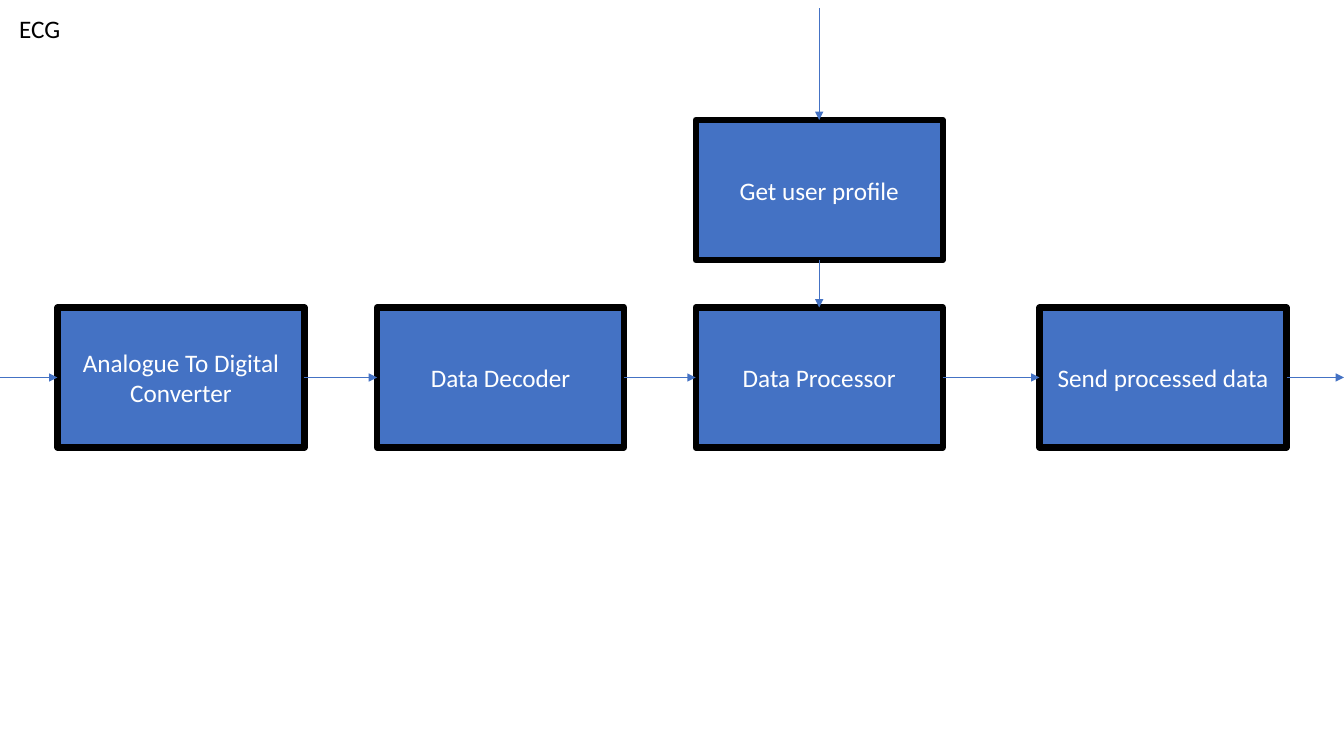
import itertools

import pptx
import pptx.dml.color
import pptx.enum.shapes
import pptx.enum.text
import pptx.oxml
import pptx.oxml.ns
import pptx.util
from pptx.util import Inches

SLIDE_WIDTH, SLIDE_HEIGHT = 13.33, 7.5
BOX_WIDTH, BOX_HEIGHT = 2.45, 1.39
ROW_TOP, PROFILE_TOP = 3.05, 1.19
PROCESSOR_LEFT = 6.9
PIPELINE = [
    ("Analogue To Digital Converter", 0.57),
    ("Data Decoder", 3.74),
    ("Data Processor", PROCESSOR_LEFT),
    ("Send processed data", 10.31),
]
BLUE, BLACK, WHITE = "4472C4", "000000", "FFFFFF"
TOP, LEFT, BOTTOM, RIGHT = range(4)  # connection sites of a rectangle


def color(hex_string):
    """Return an RGB colour from a hex string."""
    return pptx.dml.color.RGBColor.from_string(hex_string)


def add_run(paragraph, text, hex_color):
    """Append a run in the slide's text style."""
    run = paragraph.add_run()
    run.text = text
    run.font.name = "Calibri"
    run.font.size = pptx.util.Pt(18)
    run.font.color.rgb = color(hex_color)


def set_title(slide, text):
    """Place the title in the top left corner."""
    title = slide.shapes.title
    title.left, title.top = Inches(0.09), Inches(0.08)
    title.width, title.height = Inches(0.96), Inches(0.4)
    frame = title.text_frame
    frame.word_wrap = True
    frame.auto_size = pptx.enum.text.MSO_AUTO_SIZE.SHAPE_TO_FIT_TEXT
    frame.vertical_anchor = pptx.enum.text.MSO_ANCHOR.TOP
    paragraph = frame.paragraphs[0]
    paragraph.alignment = pptx.enum.text.PP_ALIGN.LEFT
    add_run(paragraph, text, BLACK)


def add_box(slide, text, left, top):
    """Add a process box with centred text."""
    box = slide.shapes.add_shape(
        pptx.enum.shapes.MSO_SHAPE.RECTANGLE,
        Inches(left), Inches(top), Inches(BOX_WIDTH), Inches(BOX_HEIGHT))
    box.shadow.inherit = False
    box.fill.solid()
    box.fill.fore_color.rgb = color(BLUE)
    box.line.color.rgb = color(BLACK)
    box.line.width = pptx.util.Pt(4.5)
    frame = box.text_frame
    frame.word_wrap = True
    frame.vertical_anchor = pptx.enum.text.MSO_ANCHOR.MIDDLE
    paragraph = frame.paragraphs[0]
    paragraph.alignment = pptx.enum.text.PP_ALIGN.CENTER
    add_run(paragraph, text, WHITE)
    return box


def add_arrow(slide, start=(0, 0), end=(0, 0), source=None, target=None):
    """Add an arrow between points, or glued to (box, site) pairs."""
    arrow = slide.shapes.add_connector(
        pptx.enum.shapes.MSO_CONNECTOR.STRAIGHT,
        *(Inches(value) for value in (*start, *end)))
    if source:
        arrow.begin_connect(*source)
    if target:
        arrow.end_connect(*target)
    arrow.line.color.rgb = color(BLUE)
    arrow.line.width = pptx.util.Pt(0.5)
    head = pptx.oxml.parse_xml(
        f'<a:tailEnd {pptx.oxml.ns.nsdecls("a")} type="triangle"/>')
    arrow.line._get_or_add_ln().append(head)
    effects = pptx.oxml.parse_xml(
        f'<a:effectLst {pptx.oxml.ns.nsdecls("a")}/>')
    arrow._element.spPr.append(effects)


def main():
    """Build the ECG data flow slide."""
    presentation = pptx.Presentation()
    presentation.slide_width = Inches(SLIDE_WIDTH)
    presentation.slide_height = Inches(SLIDE_HEIGHT)
    slide = presentation.slides.add_slide(presentation.slide_layouts[5])
    set_title(slide, "ECG")

    boxes = [add_box(slide, text, left, ROW_TOP) for text, left in PIPELINE]
    converter, _, processor, sender = boxes
    profile = add_box(slide, "Get user profile", PROCESSOR_LEFT, PROFILE_TOP)

    for box, next_box in itertools.pairwise(boxes):
        add_arrow(slide, source=(box, RIGHT), target=(next_box, LEFT))
    add_arrow(slide, source=(profile, BOTTOM), target=(processor, TOP))

    row_middle = ROW_TOP + BOX_HEIGHT / 2
    profile_center = PROCESSOR_LEFT + BOX_WIDTH / 2
    add_arrow(slide, start=(profile_center, 0.08), target=(profile, TOP))
    add_arrow(slide, start=(0, row_middle), target=(converter, LEFT))
    add_arrow(slide, end=(SLIDE_WIDTH, row_middle), source=(sender, RIGHT))

    presentation.save("out.pptx")


main()
